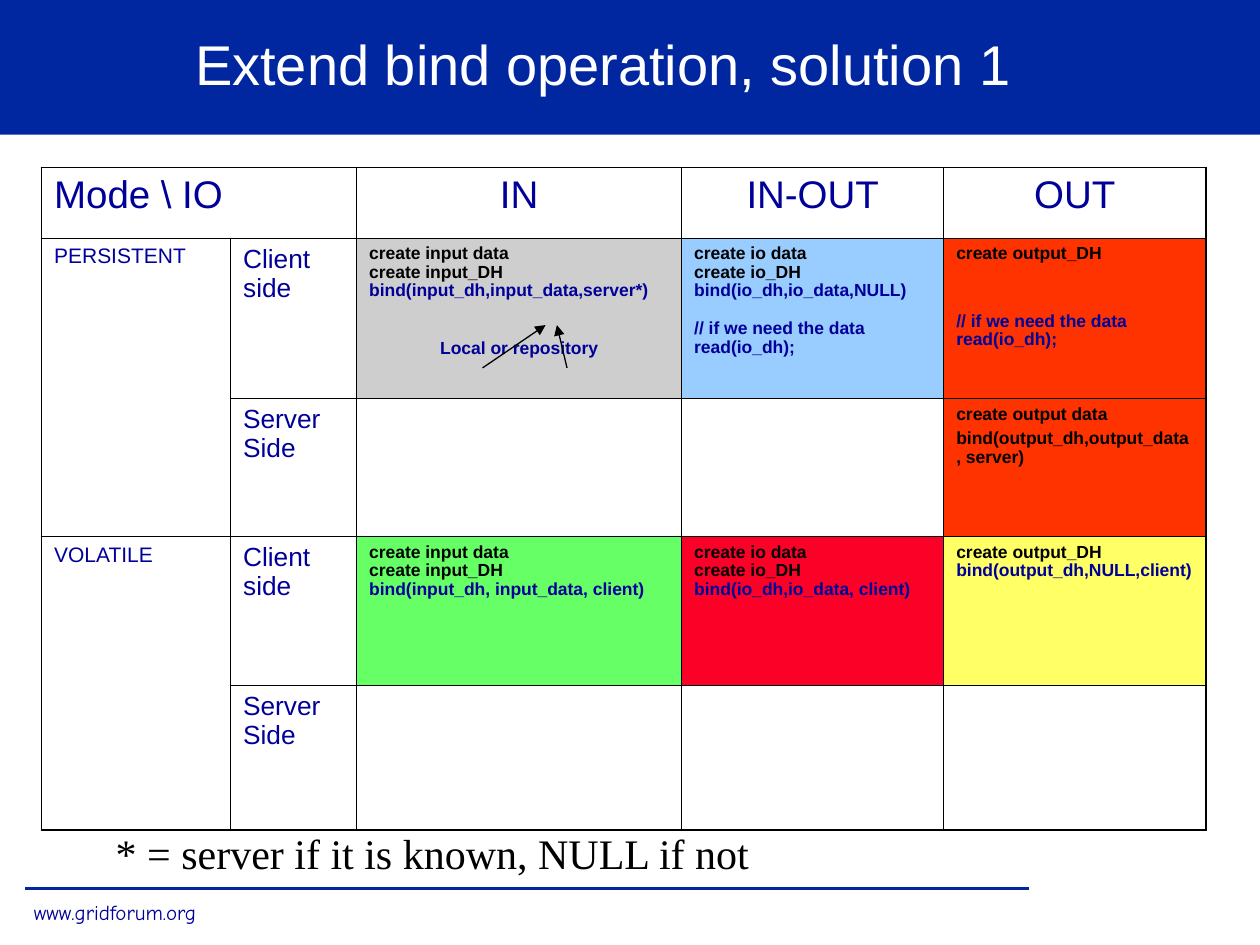
from lxml import etree
from pptx import Presentation
from pptx.dml.color import RGBColor
from pptx.enum.shapes import MSO_CONNECTOR, MSO_SHAPE
from pptx.enum.text import MSO_ANCHOR, PP_ALIGN
from pptx.oxml.ns import qn
from pptx.util import Inches, Pt

LINE = MSO_CONNECTOR.STRAIGHT
RECT = MSO_SHAPE.RECTANGLE
MIDDLE, TOP = MSO_ANCHOR.MIDDLE, MSO_ANCHOR.TOP
LEFT, CENTER = PP_ALIGN.LEFT, PP_ALIGN.CENTER

BLACK = RGBColor(0x00, 0x00, 0x00)
WHITE = RGBColor(0xFF, 0xFF, 0xFF)
BLUE = RGBColor(0x00, 0x27, 0x9F)
NAVY = RGBColor(0x00, 0x00, 0x99)
GRAY = RGBColor(0xCE, 0xCE, 0xCE)
SKY = RGBColor(0x99, 0xCC, 0xFF)
ORANGE = RGBColor(0xFF, 0x33, 0x00)
GREEN = RGBColor(0x66, 0xFF, 0x66)
RED = RGBColor(0xFC, 0x01, 0x28)
YELLOW = RGBColor(0xFF, 0xFF, 0x66)

WIDTH, HEIGHT = 10, 7.5
COLS = [1.5, 1, 2.58, 2.08, 2.08]
ROWS = [0.56, 1.27, 1.1, 1.18, 1.15]
THICK, THIN = 1.08, 0.45

HEADS = {0: "Mode \\ IO", 2: "IN", 3: "IN-OUT", 4: "OUT"}
MODES = {1: "PERSISTENT", 3: "VOLATILE"}
SIDES = ["Client side", "Server Side", "Client side", "Server Side"]

# (row, column): fill, line spacing, and lines of text with their format
CODE = {
    (1, 2): (GRAY, 0.96, [
        ("create input data", {}),
        ("create input_DH", {}),
        ("bind(input_dh,input_data,server*)", {"color": NAVY}),
        ("Local or repository", {"color": NAVY, "before": 22, "align": CENTER})]),
    (1, 3): (SKY, 0.96, [
        ("create io data", {}),
        ("create io_DH", {}),
        ("bind(io_dh,io_data,NULL)", {"color": NAVY}),
        ("// if we need the data", {"color": NAVY, "before": 11}),
        ("read(io_dh);", {"color": NAVY})]),
    (1, 4): (ORANGE, 0.96, [
        ("create output_DH", {}),
        ("// if we need the data", {"color": NAVY, "before": 28}),
        ("read(io_dh);", {"color": NAVY})]),
    (2, 4): (ORANGE, 1, [
        ("create output data", {}),
        ("bind(output_dh,output_data, server)", {"before": 2.5})]),
    (3, 2): (GREEN, 0.96, [
        ("create input data", {}),
        ("create input_DH", {}),
        ("bind(input_dh, input_data, client)", {"color": NAVY})]),
    (3, 3): (RED, 0.96, [
        ("create io data", {}),
        ("create io_DH", {}),
        ("bind(io_dh,io_data, client)", {"color": NAVY})]),
    (3, 4): (YELLOW, 0.96, [
        ("create output_DH", {}),
        ("bind(output_dh,NULL,client)", {"color": NAVY})]),
}


def write(para, text, size=10, color=BLACK, font="Arial", bold=False,
          align=LEFT, before=0, spacing=1):
    para.alignment = align
    para.space_before = Pt(before)
    para.line_spacing = spacing
    run = para.add_run()
    run.text = text
    run.font.size = Pt(size)
    run.font.name = font
    run.font.bold = bold
    run.font.color.rgb = color


def label(slide, box, text, anchor=TOP, wrap=False, **style):
    frame = slide.shapes.add_textbox(*map(Inches, box)).text_frame
    frame.word_wrap = wrap
    frame.vertical_anchor = anchor
    write(frame.paragraphs[0], text, **style)


def rule(slide, start, end, color, width, arrow=False):
    line = slide.shapes.add_connector(LINE, *map(Inches, start + end))
    line.line.color.rgb = color
    line.line.width = Pt(width)
    if arrow:
        etree.SubElement(line.line._get_or_add_ln(), qn("a:tailEnd"), type="triangle")
    etree.SubElement(line._element.spPr, qn("a:effectLst"))


def banner(slide, box):
    left, top, width, height = box
    bar = slide.shapes.add_shape(RECT, *map(Inches, box))
    bar.shadow.inherit = False
    bar.fill.solid()
    bar.fill.fore_color.rgb = BLUE
    bar.line.fill.background()
    label(slide, (left + 0.54, top + 0.31, width * 0.85, 0.5),
          "Extend bind operation, solution 1", anchor=MIDDLE, wrap=True,
          size=32, color=WHITE, align=CENTER, spacing=0.75)


def border(cell, row, col):
    """Outline a cell, thicker where it meets the edge of the table."""
    edges = [
        ("L", col == 0),
        ("R", col + cell.span_width == len(COLS)),
        ("T", row == 0),
        ("B", row + cell.span_height == len(ROWS)),
    ]
    props = cell._tc.get_or_add_tcPr()
    for spot, (side, outer) in enumerate(edges):
        ln = etree.Element(qn("a:ln" + side), w=str(Pt(THICK if outer else THIN)))
        fill = etree.SubElement(ln, qn("a:solidFill"))
        etree.SubElement(fill, qn("a:srgbClr"), val=str(BLACK))
        props.insert(spot, ln)


def matrix(slide, box):
    left, top, width, height = box
    frame = slide.shapes.add_table(len(ROWS), len(COLS), *map(Inches, box))
    table = frame.table
    table.first_row = table.horz_banding = False
    for col, size in zip(table.columns, COLS):
        col.width = Inches(size)
    for row, size in zip(table.rows, ROWS):
        row.height = Inches(size)

    table.cell(0, 0).merge(table.cell(0, 1))
    for row in MODES:
        table.cell(row, 0).merge(table.cell(row + 1, 0))
    for row in range(len(ROWS)):
        for col in range(len(COLS)):
            cell = table.cell(row, col)
            if cell.is_spanned:
                continue
            cell.fill.background()
            border(cell, row, col)

    def put(row, col, text, **style):
        write(table.cell(row, col).text_frame.paragraphs[0], text, color=NAVY, **style)

    for col, text in HEADS.items():
        put(0, col, text, size=22, align=CENTER if col else LEFT)
    for row, text in MODES.items():
        put(row, 0, text, size=12)
    for row, text in enumerate(SIDES, 1):
        put(row, 1, text, size=15)
    for (row, col), (color, spacing, lines) in CODE.items():
        cell = table.cell(row, col)
        cell.fill.solid()
        cell.fill.fore_color.rgb = color
        body = cell.text_frame
        for spot, (text, style) in enumerate(lines):
            para = body.add_paragraph() if spot else body.paragraphs[0]
            write(para, text, bold=True, spacing=spacing, **style)

    for start, end in [((3.5, 1.59), (4, 1.25)), ((4.17, 1.59), (4.09, 1.25))]:
        rule(slide, (left + start[0], top + start[1]),
             (left + end[0], top + end[1]), BLACK, 0.75, arrow=True)


def footer(slide, box):
    left, top, width, height = box
    label(slide, (left + 0.65, top, 5.24, 0.5),
          "* = server if it is known, NULL if not", size=24, font="Times New Roman")
    rule(slide, (left + 0.03, top + 0.53), (left + width, top + 0.53), BLUE, 2)
    label(slide, (left, top + 0.57, 1.49, 0.3), "www.gridforum.org",
          size=12, font="Comic Neue", color=NAVY)


def main():
    deck = Presentation()
    deck.slide_width, deck.slide_height = Inches(WIDTH), Inches(HEIGHT)
    slide = deck.slides.add_slide(deck.slide_layouts[6])
    banner(slide, (0, 0, WIDTH, 1.07))
    matrix(slide, (0.33, 1.33, sum(COLS), sum(ROWS)))
    footer(slide, (0.17, 6.52, 8, 0.87))
    deck.save("out.pptx")


if __name__ == "__main__":
    main()
